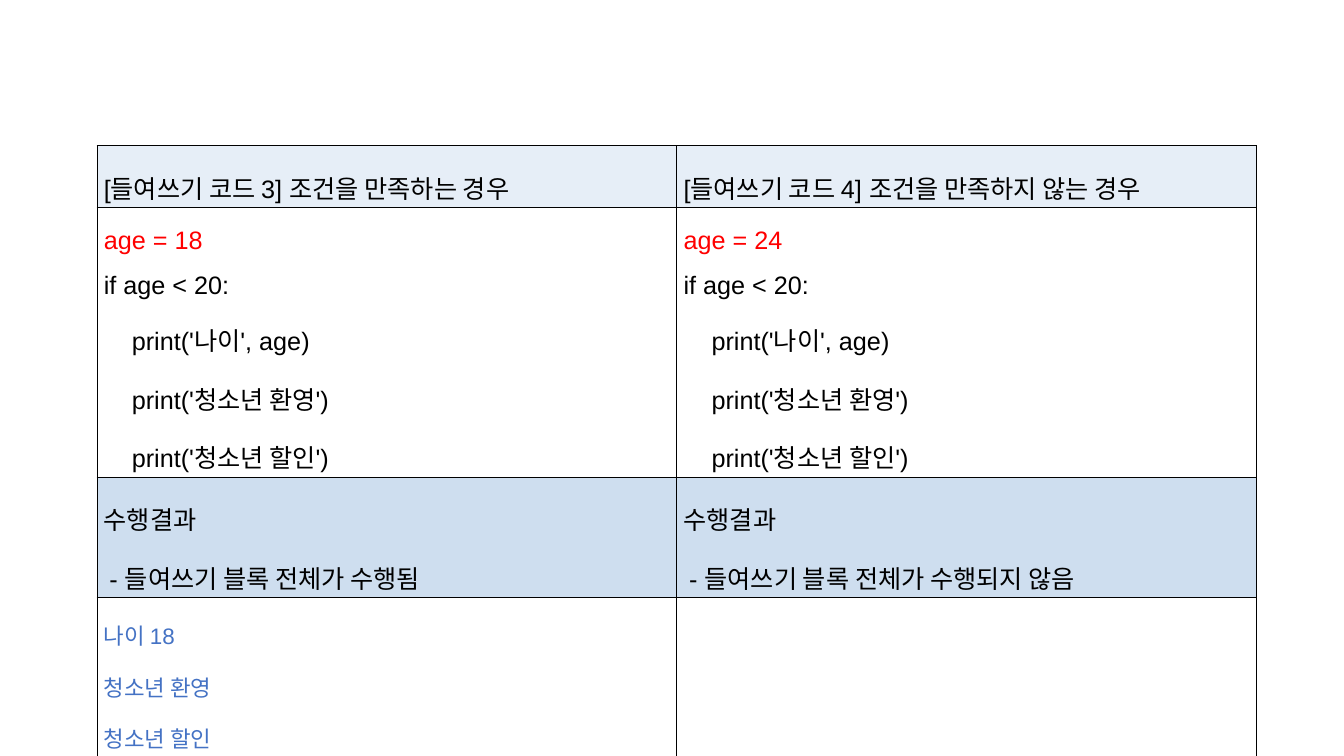
import pptx
import pptx.dml.color
import pptx.enum.text
import pptx.oxml
import pptx.util
from pptx.util import Inches

LATIN, KOREAN = "Arial", "Noto Sans CJK KR"
BLACK, RED, BLUE = "000000", "FF0000", "4472C4"
HEADER_FILL, RESULT_FILL = "E6EEF7", "CEDEEF"
BORDER = (
    '<a:{} xmlns:a="http://schemas.openxmlformats.org/drawingml/2006/main" w="3556">'
    '<a:solidFill><a:srgbClr val="000000"/></a:solidFill></a:{}>'
)


def color(value):
    return pptx.dml.color.RGBColor.from_string(value)


def write(para, pieces, size=18, tint=BLACK, fonts=(LATIN, KOREAN)):
    """Add pieces as runs that alternate between the given fonts."""
    para.alignment = pptx.enum.text.PP_ALIGN.JUSTIFY
    para.line_spacing = 1.6
    for index, piece in enumerate(pieces):
        if not piece:
            continue
        span = para.add_run()
        span.text = piece
        span.font.name = fonts[index % 2]
        span.font.size = pptx.util.Pt(size)
        span.font.color.rgb = color(tint)
        east_asian = span.font._element.makeelement(
            pptx.oxml.ns.qn("a:ea"), {"typeface": KOREAN})
        span.font._element.append(east_asian)


deck = pptx.Presentation()
deck.slide_width, deck.slide_height = Inches(13.33), Inches(7.5)
page = deck.slides.add_slide(deck.slide_layouts[6])

# Table frame
frame = page.shapes.add_table(4, 2, Inches(0.96), Inches(1.44), Inches(11.5), Inches(5.28))
table = frame.table
table.first_row = table.horz_banding = False
for row, height in zip(table.rows, (0.3, 1.67, 0.26, 0.78)):
    row.height = Inches(height)
frame.height = Inches(5.28)

# Borders, margins and fills
for row, fill in zip(table.rows, (HEADER_FILL, None, RESULT_FILL, None)):
    for cell in row.cells:
        cell.vertical_anchor = pptx.enum.text.MSO_ANCHOR.MIDDLE
        cell.margin_left = cell.margin_right = Inches(0.07)
        cell.margin_top = cell.margin_bottom = Inches(0.02)
        properties = cell._tc.get_or_add_tcPr()
        for side in ("lnL", "lnR", "lnT", "lnB"):
            properties.append(pptx.oxml.parse_xml(BORDER.format(side, side)))
        if fill:
            cell.fill.solid()
            cell.fill.fore_color.rgb = color(fill)
        else:
            cell.fill.background()

# Header, code and result of each case
cases = [
    ("3", "조건을 만족하는 경우", "18", "들여쓰기 블록 전체가 수행됨"),
    ("4", "조건을 만족하지 않는 경우", "24", "들여쓰기 블록 전체가 수행되지 않음"),
]
for column, (number, title, age, result) in enumerate(cases):
    header, code, summary = [table.cell(row, column).text_frame for row in range(3)]
    write(header.paragraphs[0], ["[", "들여쓰기 코드 ", number + "] ", title])

    write(code.paragraphs[0], ["age = " + age], tint=RED)
    for line in (
        ["if age < 20:"],
        ["    print('", "나이", "', age)"],
        ["    print('", "청소년 환영", "')"],
        ["    print('", "청소년 할인", "')"],
    ):
        write(code.add_paragraph(), line)

    write(summary.paragraphs[0], ["", "수행결과"])
    write(summary.add_paragraph(), ["", " ", "- ", result])

# Printed output of the first case
output = table.cell(3, 0).text_frame
for index, line in enumerate(("나이 18", "청소년 환영", "청소년 할인")):
    para = output.add_paragraph() if index else output.paragraphs[0]
    write(para, [line], size=16, tint=BLUE)

deck.save("out.pptx")
